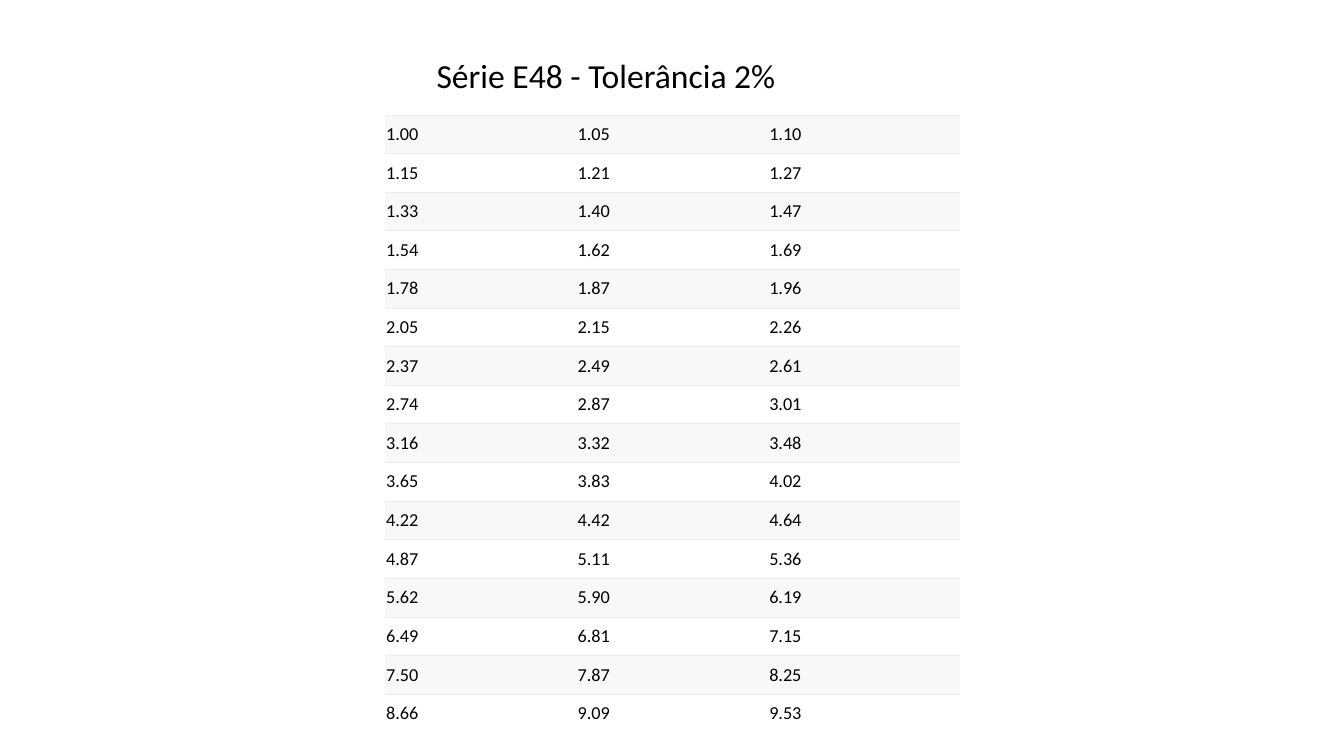
import pptx
import pptx.dml.color
import pptx.enum.text
import pptx.oxml
import pptx.oxml.ns
import pptx.util
from pptx.util import Inches

BLACK = pptx.dml.color.RGBColor(0x00, 0x00, 0x00)
WHITE = pptx.dml.color.RGBColor(0xFF, 0xFF, 0xFF)
STRIPE = pptx.dml.color.RGBColor(0xF8, 0xF8, 0xF8)
RULE = pptx.dml.color.RGBColor(0xED, 0xED, 0xED)

E48_ROWS = [row.split() for row in (
    "1.00 1.05 1.10",
    "1.15 1.21 1.27",
    "1.33 1.40 1.47",
    "1.54 1.62 1.69",
    "1.78 1.87 1.96",
    "2.05 2.15 2.26",
    "2.37 2.49 2.61",
    "2.74 2.87 3.01",
    "3.16 3.32 3.48",
    "3.65 3.83 4.02",
    "4.22 4.42 4.64",
    "4.87 5.11 5.36",
    "5.62 5.90 6.19",
    "6.49 6.81 7.15",
    "7.50 7.87 8.25",
    "8.66 9.09 9.53",
)]


class Deck:
    font = "Calibri"
    rule_width = pptx.util.Pt(0.6)

    def __init__(self, width, height):
        self.prs = pptx.Presentation()
        self.prs.slide_width, self.prs.slide_height = width, height
        self.s = None

    def add_slide(self):
        self.s = self.prs.slides.add_slide(self.prs.slide_layouts[5])

    def run(self, tf, text, size):
        p = tf.paragraphs[0]
        p.alignment = pptx.enum.text.PP_ALIGN.LEFT
        r = p.add_run()
        r.text = text
        r.font.name = self.font
        r.font.size = pptx.util.Pt(size)
        r.font.color.rgb = BLACK

    def title(self, text, left, top, width, height):
        sp = self.s.shapes.title
        sp.left, sp.top, sp.width, sp.height = left, top, width, height
        tf = sp.text_frame
        tf.word_wrap = False
        tf.auto_size = pptx.enum.text.MSO_AUTO_SIZE.SHAPE_TO_FIT_TEXT
        tf.vertical_anchor = pptx.enum.text.MSO_ANCHOR.TOP
        self.run(tf, text, 24)

    def borders(self, cell, ruled_sides):
        """Rule the given sides (T, B) of a cell and clear the others."""
        tcPr = cell._tc.get_or_add_tcPr()
        for i, side in enumerate("LRTB"):
            if side in ruled_sides:
                fill = f'<a:solidFill><a:srgbClr val="{RULE}"/></a:solidFill>'
            else:
                fill = "<a:noFill/>"
            ln = pptx.oxml.parse_xml(
                f'<a:ln{side} {pptx.oxml.ns.nsdecls("a")} w="{self.rule_width}">'
                f"{fill}</a:ln{side}>")
            tcPr.insert(i, ln)

    def table(self, rows, left, top, width, height):
        frame = self.s.shapes.add_table(
            len(rows), len(rows[0]), left, top, width, height)
        table = frame.table
        table.first_row = table.horz_banding = False
        for i, values in enumerate(rows):
            ruled_sides = "T" if i == len(rows) - 1 else "TB"
            for j, value in enumerate(values):
                cell = table.cell(i, j)
                cell.margin_left, cell.margin_right = Inches(0.01), Inches(0.06)
                cell.margin_top = cell.margin_bottom = Inches(0.04)
                cell.vertical_anchor = pptx.enum.text.MSO_ANCHOR.MIDDLE
                cell.fill.solid()
                cell.fill.fore_color.rgb = WHITE if i % 2 else STRIPE
                self.borders(cell, ruled_sides)
                self.run(cell.text_frame, value, 13)


def main():
    deck = Deck(Inches(13.33), Inches(7.5))
    deck.add_slide()
    deck.title("Série E48 - Tolerância 2%",
               Inches(4.23), Inches(0.49), Inches(3.59), Inches(0.5))
    deck.table(E48_ROWS, Inches(3.82), Inches(1.14), Inches(5.7), Inches(6.13))
    deck.prs.save("out.pptx")


if __name__ == "__main__":
    main()
